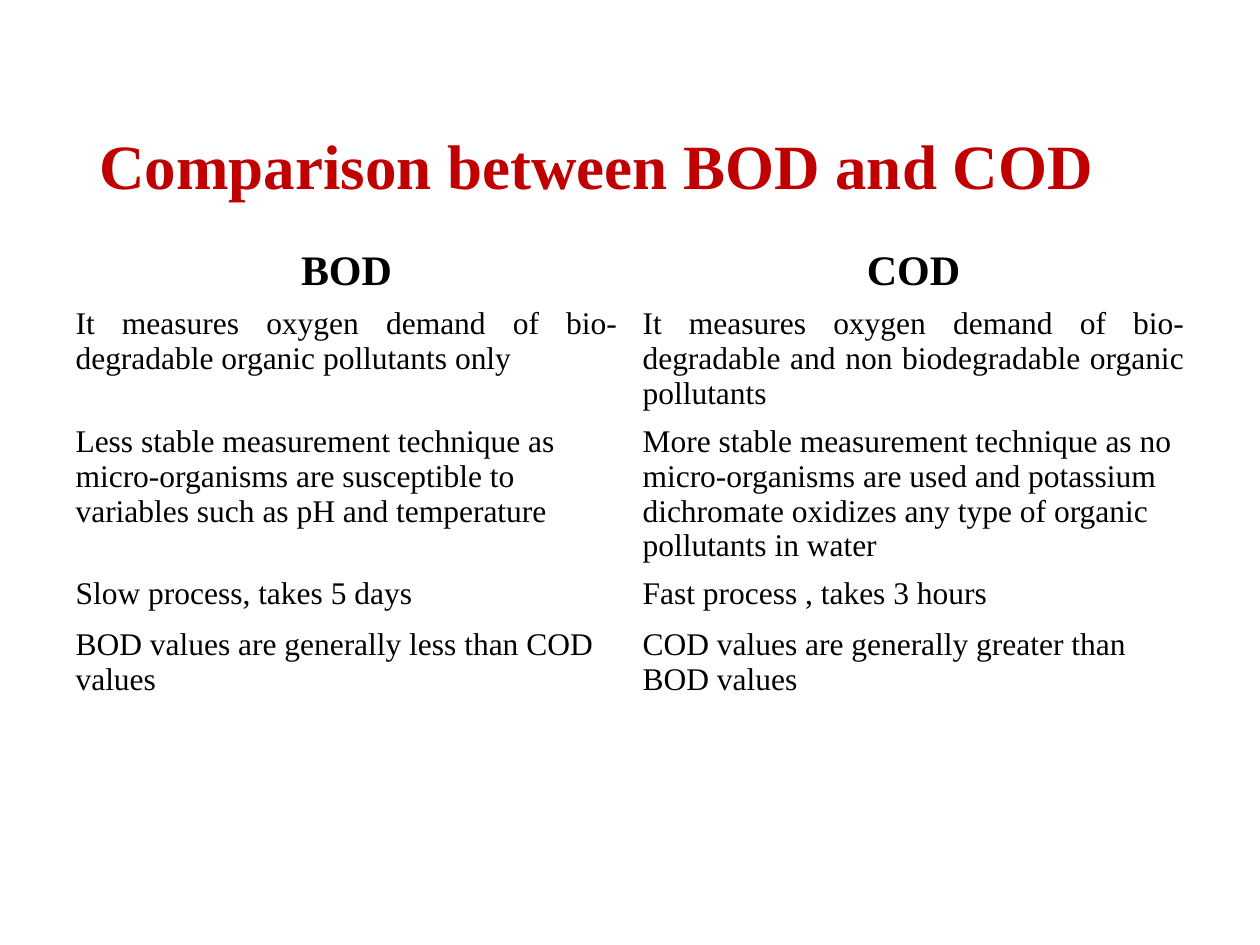
from pptx import Presentation
from pptx.dml.color import RGBColor
from pptx.enum.text import MSO_ANCHOR, PP_ALIGN
from pptx.util import Pt

ROWS = [
    ("BOD", "COD"),
    ("It measures oxygen demand of bio-degradable organic pollutants only",
     "It measures oxygen demand of bio-degradable and non biodegradable organic pollutants "),
    ("Less stable measurement technique as micro-organisms are susceptible to "
     "variables such as pH and temperature",
     "More stable measurement technique as no micro-organisms are used and potassium "
     "dichromate oxidizes any type of organic pollutants in water"),
    ("Slow process, takes 5 days", "Fast process , takes 3 hours"),
    ("BOD values are generally less than COD values",
     "COD values are generally greater than BOD values"),
]


def rgb(value):
    return RGBColor.from_string(value)


def write(tf, text, size=18, color="000000", bold=False, align=PP_ALIGN.LEFT, spacing=None):
    p = tf.paragraphs[0]
    p.alignment = align
    p.line_spacing = spacing
    r = p.add_run()
    r.text = text
    r.font.name = "Times New Roman"
    r.font.size = Pt(size)
    r.font.bold = bold
    r.font.color.rgb = rgb(color)


def add_title(s, text):
    title = s.shapes.title
    title.left, title.top, title.width, title.height = Pt(49.5), Pt(60), Pt(621), Pt(73.5)
    tf = title.text_frame
    tf.vertical_anchor = MSO_ANCHOR.MIDDLE
    write(tf, text, size=36, color="C00000", bold=True, spacing=0.9)


def add_comparison(s, rows):
    row_height = 29.2
    frame = s.shapes.add_table(len(rows), 2, Pt(36), Pt(138), Pt(648), Pt(row_height * len(rows)))
    table = frame.table
    table.first_row = False
    table.horz_banding = False
    formats = {0: dict(size=24, bold=True, align=PP_ALIGN.CENTER),
               1: dict(align=PP_ALIGN.JUSTIFY)}
    for i, texts in enumerate(rows):
        table.rows[i].height = Pt(row_height)
        for j, text in enumerate(texts):
            cell = table.cell(i, j)
            cell.fill.background()
            write(cell.text_frame, text, **formats.get(i, {}))


def main():
    prs = Presentation()
    prs.slide_width, prs.slide_height = Pt(720), Pt(540)
    s = prs.slides.add_slide(prs.slide_layouts[5])
    add_title(s, "Comparison between BOD and COD")
    add_comparison(s, ROWS)
    prs.save("out.pptx")


if __name__ == "__main__":
    main()
